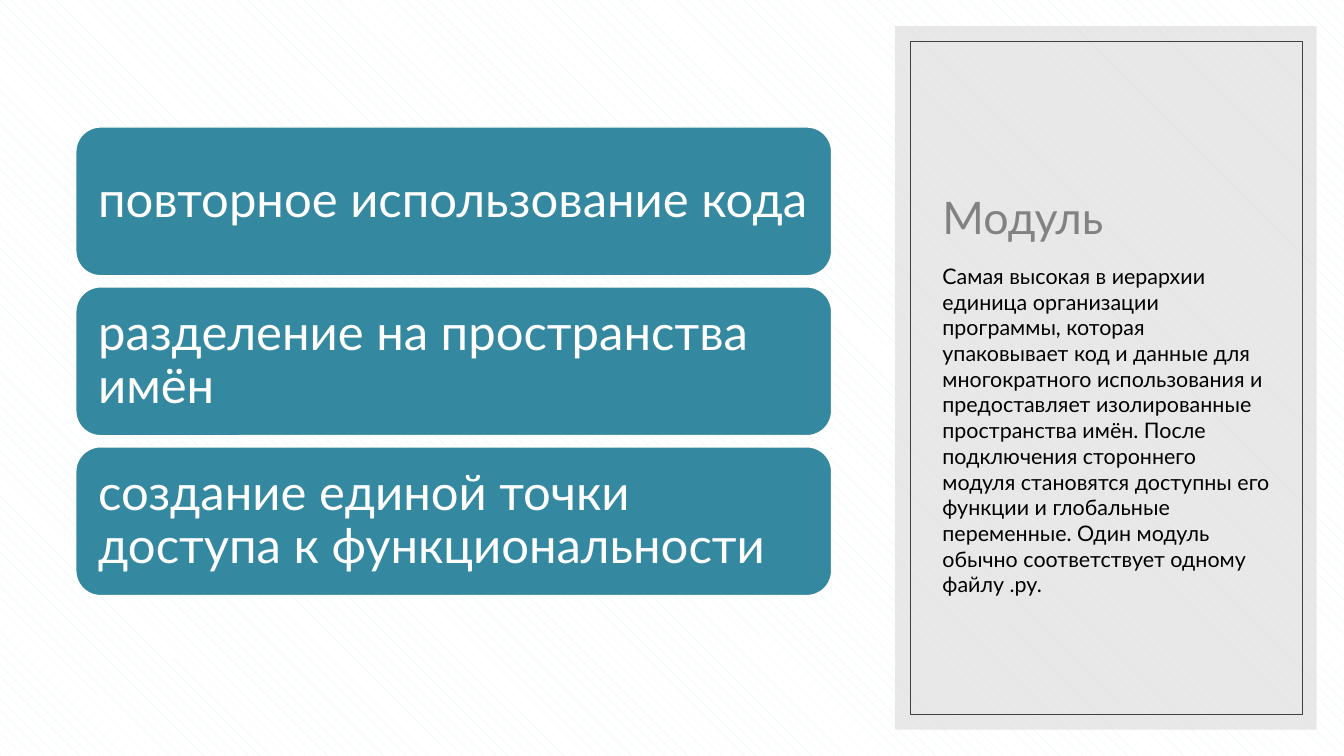
from lxml import etree
from pptx import Presentation
from pptx.dml.color import RGBColor
from pptx.enum.dml import MSO_PATTERN
from pptx.enum.shapes import MSO_SHAPE
from pptx.enum.text import MSO_ANCHOR, MSO_AUTO_SIZE, PP_ALIGN
from pptx.oxml.ns import qn
from pptx.util import Cm, Pt

RECT, ROUND = MSO_SHAPE.RECTANGLE, MSO_SHAPE.ROUNDED_RECTANGLE
TOP, MID, LOW = MSO_ANCHOR.TOP, MSO_ANCHOR.MIDDLE, MSO_ANCHOR.BOTTOM
LEFT = PP_ALIGN.LEFT
FIXED = MSO_AUTO_SIZE.NONE
SHINGLE = MSO_PATTERN.SHINGLE

WHITE = RGBColor(0xFF, 0xFF, 0xFF)
BLACK = RGBColor(0, 0, 0)
MINT = RGBColor(0xDE, 0xF4, 0xF7)
GRAY = RGBColor(0xD9, 0xD9, 0xD9)
DARK = RGBColor(0x40, 0x40, 0x40)
TEAL = RGBColor(0x34, 0x88, 0xA0)


def put_text(shape, text, size, color, anchor, pad, gap):
    frame = shape.text_frame
    form = {"text": text, "word_wrap": True, "auto_size": FIXED,
            "vertical_anchor": anchor,
            "margin_left": Cm(pad), "margin_right": Cm(pad),
            "margin_top": Cm(pad / 2), "margin_bottom": Cm(pad / 2)}
    for key, value in form.items():
        setattr(frame, key, value)
    para = frame.paragraphs[0]
    para.alignment = LEFT
    para.line_spacing = gap
    font = para.runs[0].font
    for key, value in {"name": "Lato", "size": Pt(size), "bold": False}.items():
        setattr(font, key, value)
    font.color.rgb = color


def add_box(kind, x, y, wide, high, fill, line, width):
    box = slide.shapes.add_shape(kind, Cm(x), Cm(y), Cm(wide), Cm(high))
    box.shadow.inherit = False
    if fill is None:
        box.fill.background()
    else:
        box.fill.solid()
        box.fill.fore_color.rgb = fill
    if line is None:
        box.line.fill.background()
    else:
        box.line.color.rgb = line
        box.line.width = Pt(width)
    return box


deck = Presentation()
deck.slide_width, deck.slide_height = Cm(33.87), Cm(19.05)
slide = deck.slides.add_slide(deck.slide_layouts[5])

back = slide.background.fill
back.patterned()
back.pattern = SHINGLE
back.fore_color.rgb = MINT
back.back_color.rgb = WHITE

panel = add_box(RECT, 22.56, 0.66, 10.62, 17.73, GRAY, None, 0)
tone = panel.fill._xPr.find(".//" + qn("a:srgbClr"))
etree.SubElement(tone, qn("a:alpha")).set("val", "60000")
add_box(RECT, 22.94, 1.04, 9.88, 16.97, None, DARK, 0.5)

title = slide.shapes.title
place = {"left": 23.5, "top": 1.68, "width": 8.79, "height": 4.57}
for key, value in place.items():
    setattr(title, key, Cm(value))
put_text(title, "Модуль", 32, BLACK, LOW, 0.25, 1.0)

about = ("Самая высокая в иерархии единица организации программы, которая "
         "упаковывает код и данные для многократного использования и "
         "предоставляет изолированные пространства имён. После подключения "
         "стороннего модуля становятся доступны его функции и глобальные "
         "переменные. Один модуль обычно соответствует одному файлу .py.")
body = slide.shapes.add_textbox(Cm(23.5), Cm(6.5), Cm(8.79), Cm(10))
put_text(body, about, 15.3, BLACK, TOP, 0.25, 1.0)

goals = ["повторное использование кода",
         "разделение на пространства имён",
         "создание единой точки доступа к функциональности"]
for row, goal in enumerate(goals):
    card = add_box(ROUND, 1.91, 3.2 + row * 4.03, 19.05, 3.75, TEAL, WHITE, 1)
    put_text(card, goal, 35, WHITE, MID, 0.38, 0.9)

deck.save("out.pptx")
